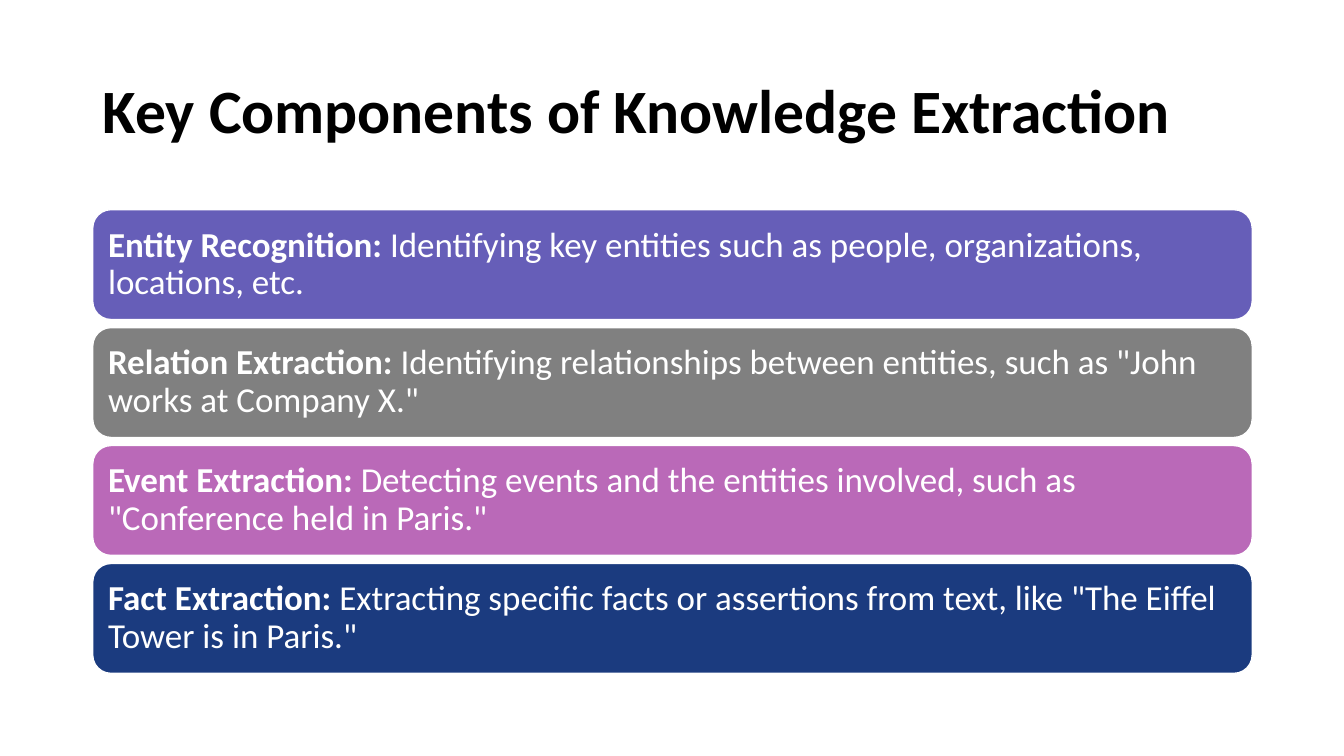
from dataclasses import dataclass

from pptx import Presentation
from pptx.dml.color import RGBColor as Rgb
from pptx.enum.shapes import MSO_SHAPE as Shape
from pptx.enum.text import MSO_ANCHOR as Anchor, MSO_AUTO_SIZE as AutoSize, PP_ALIGN as Align
from pptx.util import Emu, Pt

EMU_PER_PX = 9144


def px(length):
    return Emu(length * EMU_PER_PX)


@dataclass(frozen=True)
class Theme:
    font: str = "Calibri"
    title_size: int = 44
    card_size: int = 25
    ink: str = "000000"
    paper: str = "FFFFFF"
    violet: str = "665EB8"
    gray: str = "808080"
    orchid: str = "BA69B8"
    navy: str = "1B3B7F"


class SlideBuilder:
    def __init__(self, slide, theme):
        self.slide = slide
        self.theme = theme

    def style_text(self, frame, size, color):
        frame.word_wrap = True
        frame.auto_size = AutoSize.NONE
        frame.vertical_anchor = Anchor.MIDDLE
        frame.margin_left = frame.margin_right = px(10)
        paragraph = frame.paragraphs[0]
        paragraph.alignment = Align.LEFT
        paragraph.line_spacing = 0.9
        paragraph.font.name = self.theme.font
        paragraph.font.size = Pt(size)
        paragraph.font.color.rgb = Rgb.from_string(color)
        return paragraph

    def title(self, text, left, top, width, height):
        heading = self.slide.shapes.title
        heading.left, heading.top = px(left), px(top)
        heading.width, heading.height = px(width), px(height)
        heading.text_frame.text = text
        paragraph = self.style_text(heading.text_frame, self.theme.title_size, self.theme.ink)
        paragraph.font.bold = True

    def card(self, term, meaning, fill, left, top, width, height):
        card = self.slide.shapes.add_shape(
            Shape.ROUNDED_RECTANGLE, px(left), px(top), px(width), px(height)
        )
        card.shadow.inherit = False
        card.fill.solid()
        card.fill.fore_color.rgb = Rgb.from_string(fill)
        card.line.color.rgb = Rgb.from_string(self.theme.paper)
        card.line.width = Pt(1)
        paragraph = self.style_text(card.text_frame, self.theme.card_size, self.theme.paper)
        lead = paragraph.add_run()
        lead.text = f"{term}:"
        lead.font.bold = True
        paragraph.add_run().text = f" {meaning}"


def main():
    theme = Theme()
    deck = Presentation()
    deck.slide_width, deck.slide_height = px(1333), px(750)
    title_only = deck.slide_layouts[5]
    builder = SlideBuilder(deck.slides.add_slide(title_only), theme)

    left, width = 92, 1150
    builder.title("Key Components of Knowledge Extraction", left, 40, width, 145)

    components = [
        ("Entity Recognition",
         "Identifying key entities such as people, organizations, locations, etc.",
         theme.violet),
        ("Relation Extraction",
         'Identifying relationships between entities, such as "John works at Company X."',
         theme.gray),
        ("Event Extraction",
         'Detecting events and the entities involved, such as "Conference held in Paris."',
         theme.orchid),
        ("Fact Extraction",
         'Extracting specific facts or assertions from text, like "The Eiffel Tower is in Paris."',
         theme.navy),
    ]
    first_top, card_height, gap = 208, 109, 8
    for row, (term, meaning, fill) in enumerate(components):
        top = first_top + row * (card_height + gap)
        builder.card(term, meaning, fill, left, top, width, card_height)

    deck.save("out.pptx")


if __name__ == "__main__":
    main()
